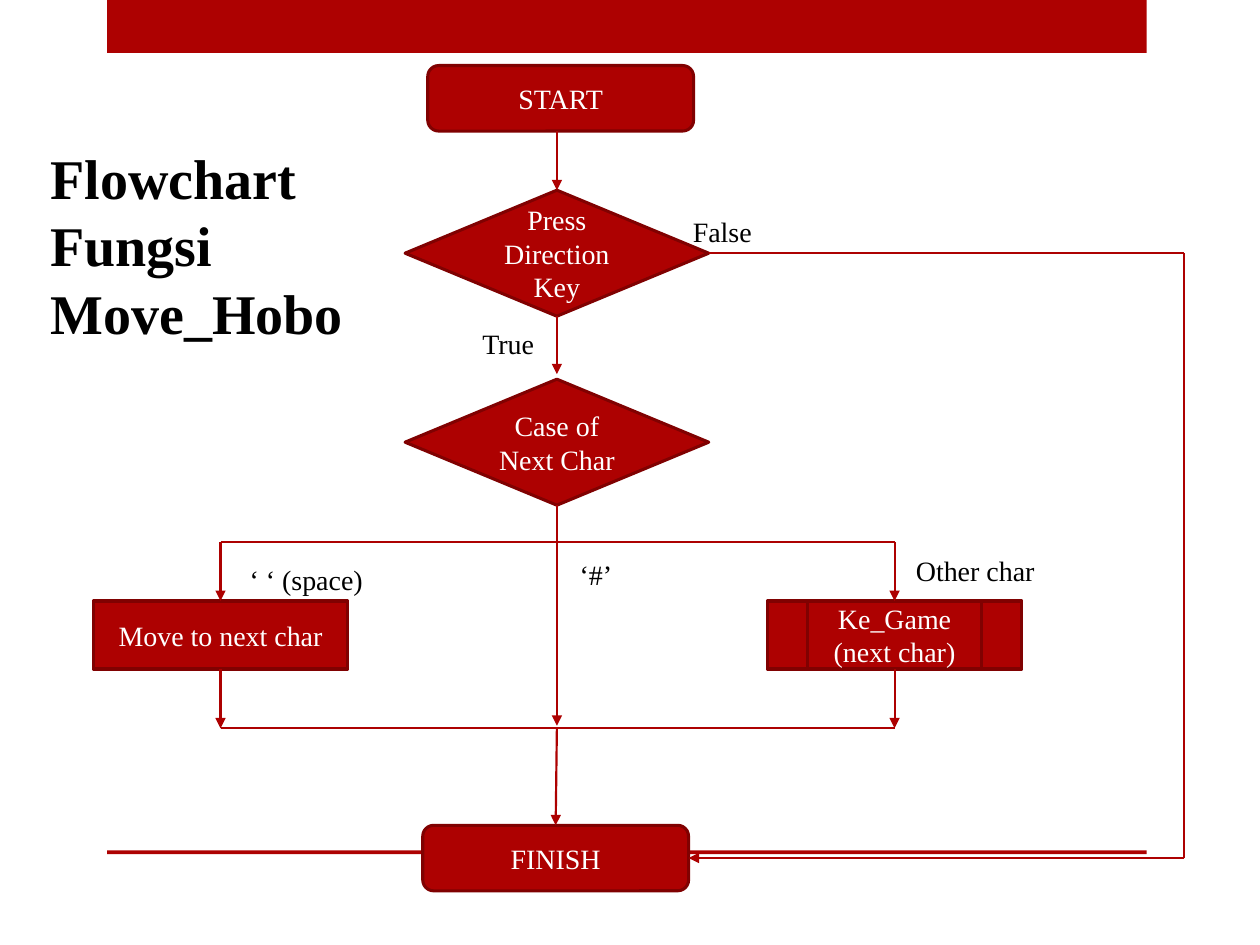
from lxml import etree
from pptx import Presentation
from pptx.dml.color import RGBColor
from pptx.enum.shapes import MSO_CONNECTOR as Connector, MSO_SHAPE as Shape
from pptx.enum.text import MSO_ANCHOR as Anchor, MSO_AUTO_SIZE as AutoSize, PP_ALIGN as Align
from pptx.oxml.ns import qn
from pptx.util import Inches, Pt

RED = RGBColor(0xAD, 0x01, 0x01)
DARK_RED = RGBColor(0x80, 0x01, 0x01)
WHITE = RGBColor(0xFF, 0xFF, 0xFF)
BLACK = RGBColor(0, 0, 0)
FONT = "Times New Roman"
TOP, LEFT, BOTTOM, RIGHT = range(4)
BRANCH_SIZE = (2.02, 0.54)


def write(shape, text, color, size=16, bold=False, align=Align.CENTER, anchor=Anchor.MIDDLE):
    frame = shape.text_frame
    frame.word_wrap = True
    frame.vertical_anchor = anchor
    paragraph = frame.paragraphs[0]
    paragraph.alignment = align
    run = paragraph.add_run()
    run.text = text
    run.font.name = FONT
    run.font.size = Pt(size)
    run.font.bold = bold
    run.font.color.rgb = color


def add_bar(slide, left, top, width, height):
    bar = slide.shapes.add_shape(
        Shape.RECTANGLE, Inches(left), Inches(top), Inches(width), Inches(height))
    bar.shadow.inherit = False
    bar.fill.solid()
    bar.fill.fore_color.rgb = RED
    bar.line.fill.background()
    return bar


def add_node(slide, kind, center, top, size, text=""):
    """Add a flowchart box centred horizontally on center."""
    width, height = size
    node = slide.shapes.add_shape(
        kind, Inches(center - width / 2), Inches(top), Inches(width), Inches(height))
    node.shadow.inherit = False
    node.fill.solid()
    node.fill.fore_color.rgb = RED
    node.line.color.rgb = DARK_RED
    node.line.width = Pt(1.75)
    if text:
        write(node, text, WHITE)
    return node


def add_label(slide, left, top, size, text, align=Align.CENTER, anchor=Anchor.MIDDLE):
    width, height = size
    label = slide.shapes.add_textbox(Inches(left), Inches(top), Inches(width), Inches(height))
    write(label, text, BLACK, align=align, anchor=anchor)


def add_line(slide, start, end, arrow=True, begin=None, finish=None):
    """Draw a line; begin and finish are optional (shape, site) joints."""
    points = [Inches(value) for value in (*start, *end)]
    line = slide.shapes.add_connector(Connector.STRAIGHT, *points)
    line.line.color.rgb = RED
    line.line.width = Pt(1.25)
    if begin:
        line.begin_connect(*begin)
    if finish:
        line.end_connect(*finish)
    properties = line._element.spPr
    if arrow:
        etree.SubElement(properties.find(qn("a:ln")), qn("a:tailEnd"), type="triangle")
    etree.SubElement(properties, qn("a:effectLst"))


def add_title(slide, left, top, width, height):
    title = slide.shapes.title
    title.left, title.top = Inches(left), Inches(top)
    title.width, title.height = Inches(width), Inches(height)
    write(title, "Flowchart Fungsi Move_Hobo", BLACK, 32, True, Align.LEFT, Anchor.TOP)
    title.text_frame.auto_size = AutoSize.SHAPE_TO_FIT_TEXT


def add_decisions(slide, spine, top):
    """Add the start box and both decisions, and return the decisions."""
    add_node(slide, Shape.ROUNDED_RECTANGLE, spine + 0.03, top, (2.11, 0.52), "START")
    size = (2.41, 1)
    key = add_node(slide, Shape.FLOWCHART_DECISION, spine, top + 0.99, size,
                   "Press Direction Key")
    case = add_node(slide, Shape.FLOWCHART_DECISION, spine, top + 2.49, size,
                    "Case of Next Char")
    add_line(slide, (spine, top + 0.52), (spine, top + 0.99), finish=(key, TOP))
    add_line(slide, (spine, top + 1.99), (spine, top + 2.45), begin=(key, BOTTOM))
    for text, x, y in (("True", -0.69, 2.02), ("False", 0.98, 1.13)):
        add_label(slide, spine + x, top + y, (0.81, 0.37), text, Align.LEFT, Anchor.TOP)
    return key, case


def add_branches(slide, case, spine, left, right, top, bottom):
    """Add the three cases between the splitting and the joining line."""
    add_line(slide, (left, top), (right, top), arrow=False)
    add_line(slide, (left, bottom), (right, bottom), arrow=False)
    add_line(slide, (spine, top - 0.29), (spine, bottom - 0.02), begin=(case, BOTTOM))

    box_top = top + 0.47
    move = add_node(slide, Shape.RECTANGLE, left, box_top, BRANCH_SIZE, "Move to next char")
    add_node(slide, Shape.RECTANGLE, right, box_top, BRANCH_SIZE)
    game = add_node(slide, Shape.RECTANGLE, right, box_top, (1.38, 0.54),
                    "Ke_Game (next char)")
    for x, node in ((left, move), (right, game)):
        add_line(slide, (x, top), (x, box_top), finish=(node, TOP))
        add_line(slide, (x, box_top + 0.54), (x, bottom), begin=(node, BOTTOM))

    for text, x, y in (("‘ ‘ (space)", left - 0.33, 0.03),
                       ("‘#’", spine - 0.7, -0.01),
                       ("Other char", right - 0.37, -0.04)):
        add_label(slide, x, top + y, BRANCH_SIZE, text)


def add_finish(slide, key, spine, join, top, outer):
    """Add the end box, fed by the joined cases and by the False path."""
    finish = add_node(slide, Shape.ROUNDED_RECTANGLE, spine - 0.01, top, (2.11, 0.52), "FINISH")
    add_line(slide, (spine, join), (spine, top), finish=(finish, TOP))
    start_y, end_y = 2.01, top + 0.26
    add_line(slide, (spine + 1.2, start_y), (outer, start_y), arrow=False, begin=(key, RIGHT))
    add_line(slide, (outer, start_y), (outer, end_y), arrow=False)
    add_line(slide, (outer, end_y), (spine + 1.05, end_y), finish=(finish, RIGHT))


def main():
    presentation = Presentation()
    presentation.slide_width, presentation.slide_height = Inches(10), Inches(7.5)
    slide = presentation.slides.add_slide(presentation.slide_layouts[5])
    add_bar(slide, 0.85, 0, 8.25, 0.42)
    add_bar(slide, 0.85, 6.75, 8.25, 0.03)
    add_title(slide, 0.3, 1.09, 2.68, 1.72)
    spine = 4.42
    key, case = add_decisions(slide, spine, 0.52)
    add_branches(slide, case, spine, left=1.75, right=7.1, top=4.3, bottom=5.78)
    add_finish(slide, key, spine, join=5.78, top=6.55, outer=9.4)
    presentation.save("out.pptx")


if __name__ == "__main__":
    main()
